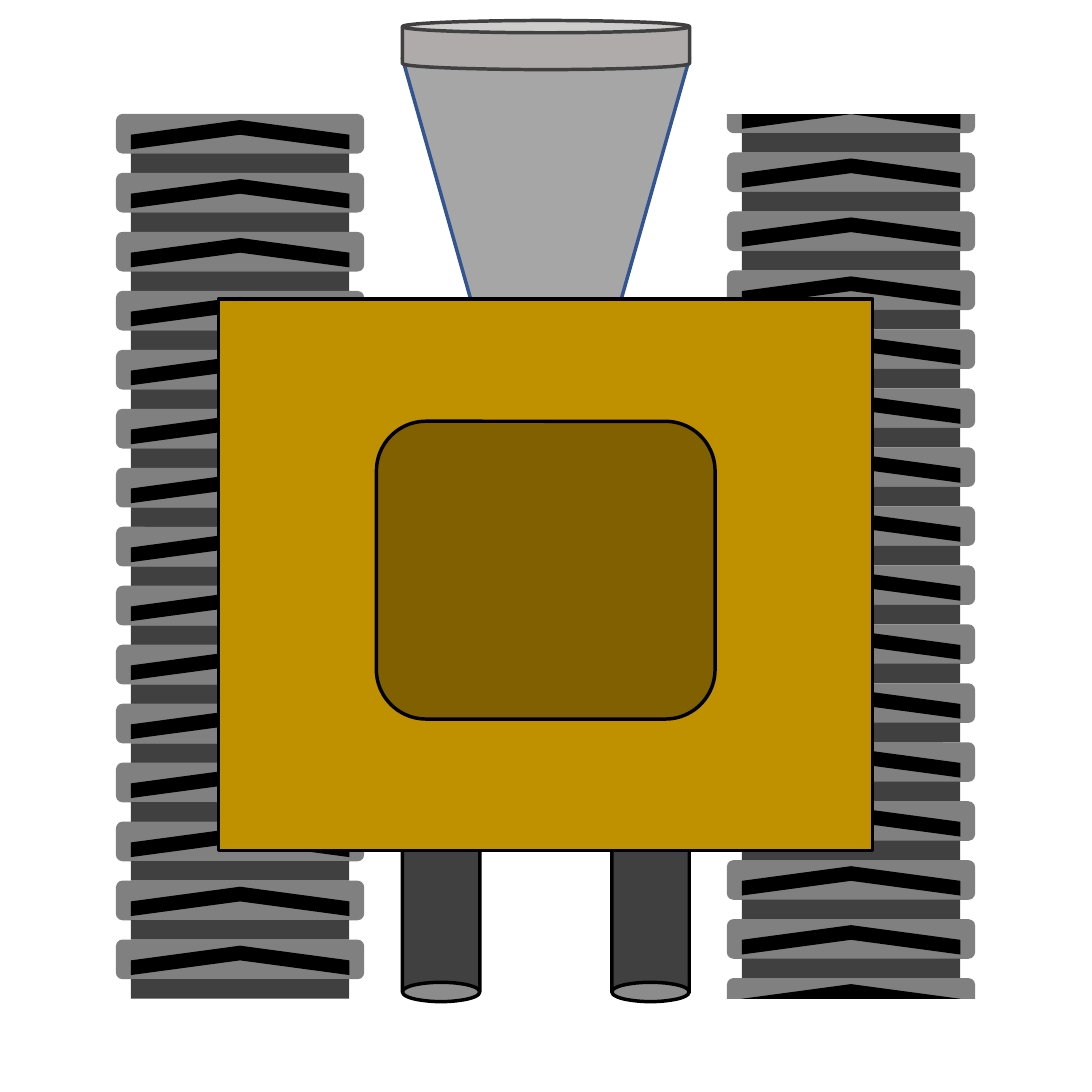
from pptx import Presentation
from pptx.dml.color import RGBColor
from pptx.enum.shapes import MSO_SHAPE as Kind
from pptx.util import Pt

COLORS = {
    "white": "FFFFFF", "black": "000000", "lug": "808080", "dark": "404040",
    "cone": "A6A6A6", "edge": "325491", "rim": "AFABAB",
    "body": "BF9000", "hatch": "806000",
}
STEP = 16.84
LUG_W, LUG_H = 70.9, 11.3
BAND_W, BAND_H = 62.4, 5.6
INSET = (LUG_W - BAND_W) / 2
TREAD_H = 8.4


def draw(group, kind, box, fill, line=None, turn=0):
    """Add a filled shape to a group; box is left, top, width, height."""
    shape = group.shapes.add_shape(kind, *[Pt(n) for n in box])
    shape.shadow.inherit = False
    shape.rotation = turn
    shape.fill.solid()
    shape.fill.fore_color.rgb = RGBColor.from_string(COLORS[fill])
    if line:
        shape.line.color.rgb = RGBColor.from_string(COLORS[line])
        shape.line.width = Pt(1)
    else:
        shape.line.fill.background()
    return shape


def track(group, left, top, count):
    """Stack lugs, dark bands and upward treads at an equal step."""
    for i in range(count):
        y = top + i * STEP
        draw(group, Kind.ROUNDED_RECTANGLE, (left, y, LUG_W, LUG_H), "lug")
        # The tread is laid out upright, then turned about its centre
        x_mid, y_mid = left + LUG_W / 2, y + LUG_H / 2 + 0.25
        tread = (x_mid - TREAD_H / 2, y_mid - BAND_W / 2, TREAD_H, BAND_W)
        draw(group, Kind.RECTANGLE,
             (left + INSET, y + LUG_H, BAND_W, BAND_H), "dark")
        draw(group, Kind.CHEVRON, tread, "black", turn=270)


deck = Presentation()
deck.slide_width = deck.slide_height = Pt(311.8)
slide = deck.slides.add_slide(deck.slide_layouts[6])

# Right track, trimmed at both ends by white covers
right = slide.shapes.add_group_shape()
track(right, 207.55, 26.7, 16)
for top, height in ((23.8, 8.8), (285.3, 12)):
    draw(right, Kind.RECTANGLE, (203, top, 79.9, height), "white")

# Left track
left = slide.shapes.add_group_shape()
track(left, 33.1, 32.55, 15)

# Hull with exhaust pipes and funnel
hull = slide.shapes.add_group_shape()
for x in (174.7, 114.9):
    draw(hull, Kind.CAN, (x, 206.8, 22.1, 79.2), "dark", "black", 180)
cone = draw(hull, Kind.TRAPEZOID, (114.9, 16.6, 82, 144.7),
            "cone", "edge", 180)
cone.adjustments[0] = 0.5
draw(hull, Kind.RECTANGLE, (62.4, 85.4, 186.8, 157.4), "body", "black")
draw(hull, Kind.ROUNDED_RECTANGLE, (107.5, 120.3, 96.7, 85),
     "hatch", "black")
draw(hull, Kind.CAN, (114.9, 5.9, 82, 14), "rim", "dark")

deck.save("out.pptx")
